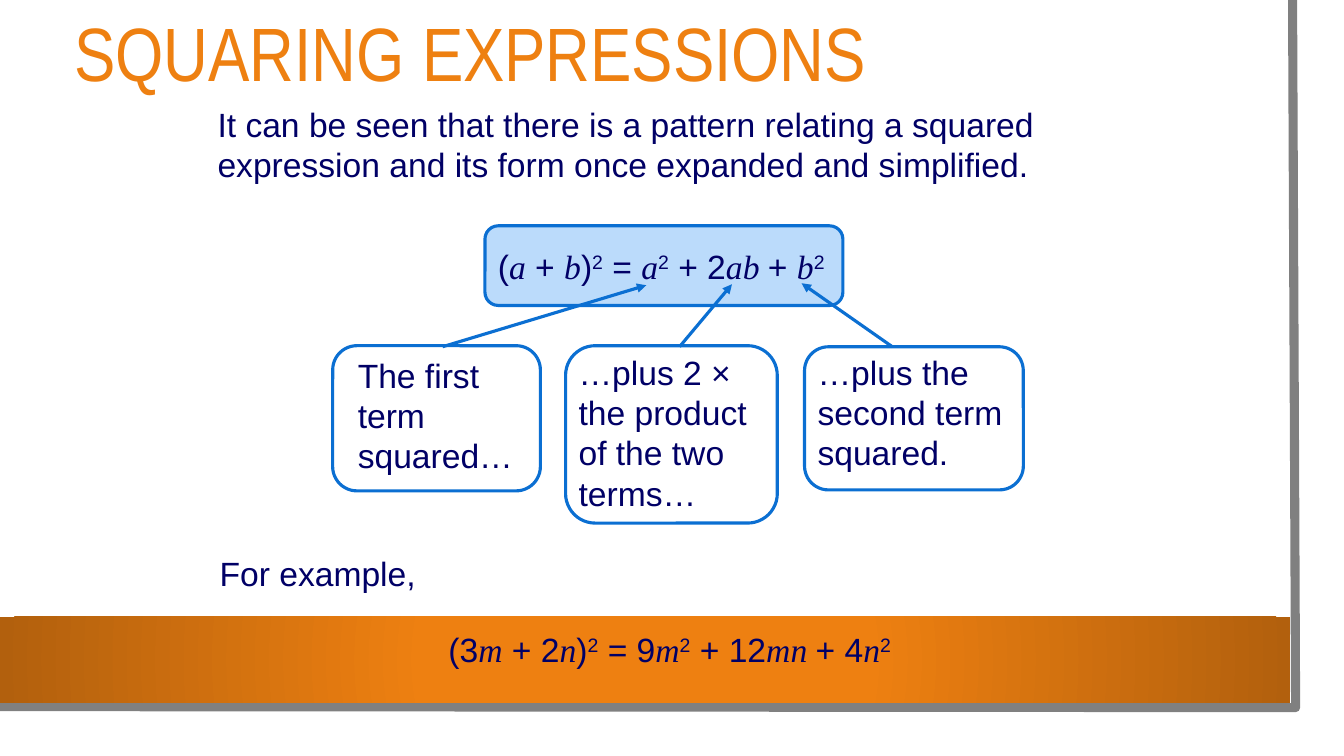
import pptx
import pptx.dml.color
import pptx.enum.dml
import pptx.enum.shapes
import pptx.enum.text
import pptx.oxml
import pptx.oxml.ns
import pptx.util

PX = 9144
COLOURS = {
    "white": "FFFFFF",
    "grey": "808080",
    "orange": "EE8011",
    "brown": "B2600D",
    "pale blue": "BBDBFB",
    "blue": "0B6FD2",
    "navy": "010066",
}
SHAPES = pptx.enum.shapes.MSO_SHAPE
CALLOUTS = [
    ("The first term squared…", (345, 347, 188, 131), (330, 343, 206, 144), (439, 344, 641, 283)),
    ("…plus 2 × the product of the two terms…", (564, 344, 191, 172), (561, 343, 210, 176), (674, 344, 726, 282)),
    ("…plus the second term squared.", (801, 344, 211, 131), (798, 344, 217, 142), (885, 344, 795, 281)),
]


def emu(*lengths):
    """Turn px lengths into EMU."""
    return [pptx.util.Emu(length * PX) for length in lengths]


def colour(name):
    """Look up a named colour."""
    return pptx.dml.color.RGBColor.from_string(COLOURS[name])


def set_line(line, name, width):
    """Give a line its colour and width in points."""
    line.color.rgb = colour(name)
    line.width = pptx.util.Pt(width)


def add_panel(slide, kind, place, fill=None, line=None):
    """Add a preset shape with optional fill and outline."""
    shape = slide.shapes.add_shape(kind, *emu(*place))
    shape.shadow.inherit = False
    if fill:
        shape.fill.solid()
        shape.fill.fore_color.rgb = colour(fill)
    else:
        shape.fill.background()
    if line:
        set_line(shape.line, line, 2.25)
    else:
        shape.line.fill.background()
    return shape


def add_page_edge(slide):
    """Draw the grey edge along the right and bottom of the page."""
    builder = slide.shapes.build_freeform(1282, 0, scale=PX)
    builder.add_line_segments([(1285, 702), (-3, 701)], close=False)
    edge = builder.convert_to_shape()
    edge.shadow.inherit = False
    edge.fill.background()
    set_line(edge.line, "grey", 6.5)


def add_band(slide):
    """Add the orange band with its radial gradient."""
    band = add_panel(slide, SHAPES.RECTANGLE, (0, 612, 1280, 85))
    band.fill.gradient()
    for stop, position, name in zip(band.fill.gradient_stops, (0.34, 1), ("orange", "brown")):
        stop.position = position
        stop.color.rgb = colour(name)
    namespace = pptx.oxml.ns.nsdecls("a")
    radial = pptx.oxml.parse_xml(
        f'<a:path {namespace} path="circle">'
        '<a:fillToRect l="50000" t="50000" r="50000" b="50000"/></a:path>'
    )
    linear = band._element.spPr.find(".//" + pptx.oxml.ns.qn("a:lin"))
    linear.getparent().replace(linear, radial)


def format_run(run, size=24, font="Arial", name="navy"):
    """Set the size, font and colour of a run."""
    run.font.size = pptx.util.Pt(size)
    run.font.name = font
    run.font.color.rgb = colour(name)


def add_box(slide, place, wrap=True):
    """Add an empty text box and return its text frame."""
    text_frame = slide.shapes.add_textbox(*emu(*place)).text_frame
    text_frame.word_wrap = wrap
    text_frame.auto_size = pptx.enum.text.MSO_AUTO_SIZE.SHAPE_TO_FIT_TEXT
    return text_frame


def add_text(slide, text, place, wrap=True):
    """Add a text box of plain body text."""
    text_frame = add_box(slide, place, wrap)
    text_frame.text = text
    format_run(text_frame.paragraphs[0].runs[0])


def add_title(slide, text, place):
    """Add the slide title."""
    text_frame = add_box(slide, place)
    text_frame.auto_size = pptx.enum.text.MSO_AUTO_SIZE.NONE
    text_frame.vertical_anchor = pptx.enum.text.MSO_ANCHOR.MIDDLE
    text_frame.text = text
    paragraph = text_frame.paragraphs[0]
    paragraph.line_spacing = 0.9
    format_run(paragraph.runs[0], 54, "Arial Narrow", "orange")


def add_formula(slide, formula, place):
    """Add a formula split at bars, with italic variables and ^ for powers."""
    paragraph = add_box(slide, place, wrap=False).paragraphs[0]
    for piece in formula.split("|"):
        run = paragraph.add_run()
        run.text = piece.lstrip("^")
        variable = piece.strip().isalpha()
        format_run(run, font="Times New Roman" if variable else "Arial")
        run.font.italic = variable
        if piece.startswith("^"):
            run._r.get_or_add_rPr().set("baseline", "30000")


def add_arrow(slide, ends):
    """Add a blue arrow between two points."""
    straight = pptx.enum.shapes.MSO_CONNECTOR.STRAIGHT
    arrow = slide.shapes.add_connector(straight, *emu(*ends))
    set_line(arrow.line, "blue", 2.25)
    namespace = pptx.oxml.ns.nsdecls("a")
    head = pptx.oxml.parse_xml(f'<a:tailEnd {namespace} type="triangle"/>')
    arrow.line._get_or_add_ln().append(head)
    arrow._element.spPr.append(pptx.oxml.parse_xml(f"<a:effectLst {namespace}/>"))


def add_callout(slide, text, text_place, frame_place, arrow_ends):
    """Add a framed explanation with an arrow to its term."""
    add_text(slide, text, text_place)
    add_arrow(slide, arrow_ends)
    add_panel(slide, SHAPES.ROUNDED_RECTANGLE, frame_place, line="blue")


def main():
    """Build and save the slide."""
    presentation = pptx.Presentation()
    presentation.slide_width, presentation.slide_height = emu(1333, 750)
    slide = presentation.slides.add_slide(presentation.slide_layouts[6])
    add_panel(slide, SHAPES.RECTANGLE, (0, 0, 1310, 727), fill="white")
    add_page_edge(slide)
    add_band(slide)
    add_panel(slide, SHAPES.ROUNDED_RECTANGLE, (481, 224, 355, 79), "pale blue", "blue")
    add_title(slide, "SQUARING EXPRESSIONS", (64, -6, 1137, 126))
    add_text(
        slide,
        "It can be seen that there is a pattern relating a squared "
        "expression and its form once expanded and simplified.",
        (206, 98, 934, 91),
    )
    add_formula(slide, "(|a| + |b|)|^2| = |a|^2| + 2|ab |+ |b|^2", (484, 239, 355, 50))
    for callout in CALLOUTS:
        add_callout(slide, *callout)
    add_text(slide, "For example,", (208, 544, 215, 50), wrap=False)
    add_formula(slide, "(3|m| + 2|n|)|^2| = 9|m|^2| + 12|mn |+ 4|n|^2", (435, 619, 470, 50))
    presentation.save("out.pptx")


if __name__ == "__main__":
    main()
